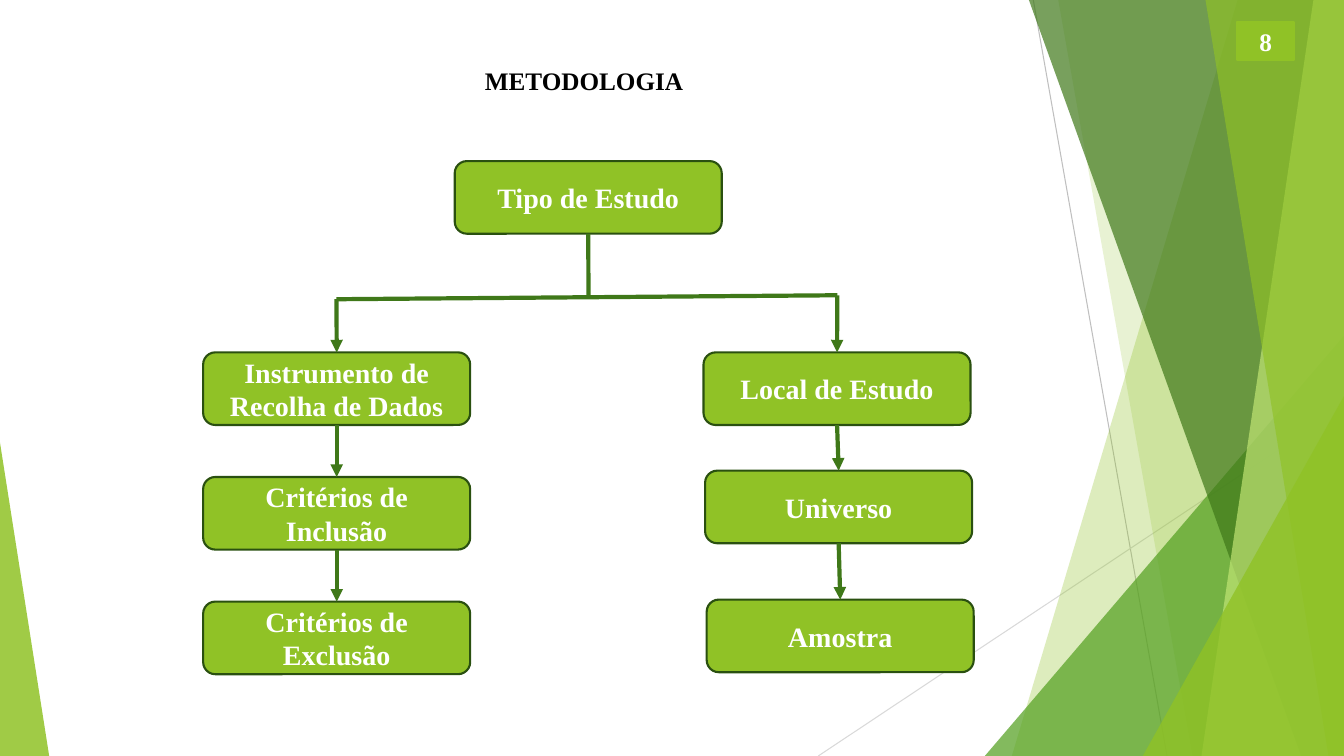
from lxml.etree import SubElement
from pptx import Presentation
from pptx.dml.color import RGBColor
from pptx.enum.shapes import MSO_CONNECTOR, MSO_SHAPE
from pptx.enum.text import MSO_ANCHOR, MSO_AUTO_SIZE, PP_ALIGN
from pptx.oxml.ns import qn
from pptx.util import Cm, Pt

COLORS = {
    "lime": "90C226", "pale": "C0E474", "green": "54A021", "dark": "3F7819",
    "edge": "2A5010", "gray": "BFBFBF", "silver": "D9D9D9",
    "white": "FFFFFF", "black": "000000",
}
FONT = "Times New Roman"
W, H = 33.87, 19.05
BOX_W, BOX_H = 6.73, 1.83


def add_line(x1, y1, x2, y2, color, width, arrow=False):
    c = s.shapes.add_connector(MSO_CONNECTOR.STRAIGHT, Cm(x1), Cm(y1), Cm(x2), Cm(y2))
    c.line.color.rgb = RGBColor.from_string(COLORS[color])
    c.line.width = Pt(width)
    if arrow:
        SubElement(c.line._get_or_add_ln(), qn("a:tailEnd"), type="triangle")
    SubElement(c._element.spPr, qn("a:effectLst"))
    return c


def add_text(sp, text, size, color):
    tf = sp.text_frame
    tf.vertical_anchor = MSO_ANCHOR.MIDDLE
    p = tf.paragraphs[0]
    p.alignment = PP_ALIGN.CENTER
    r = p.add_run()
    r.text = text
    r.font.name = FONT
    r.font.size = Pt(size)
    r.font.bold = True
    r.font.color.rgb = RGBColor.from_string(COLORS[color])


prs = Presentation()
prs.slide_width, prs.slide_height = Cm(W), Cm(H)
s = prs.slides.add_slide(prs.slide_layouts[6])

add_line(26.04, 0, 29.41, H, "gray", 0.75)
add_line(W, 10.24, 20.62, H, "silver", 0.75)

facets = [
    ("band", 31.19, 25.5, "lime", 30),
    ("band", 26.67, 30.05, "lime", 20),
    ("triangle", 24.82, 8.46, 9.05, 1, "green", 72),
    ("band", 25.93, 32.79, "dark", 70),
    ("band", 33.1, 30.28, "pale", 70),
    ("band", 30.38, 33.48, "lime", 65),
    ("triangle", 28.8, 9.98, 5.07, 1, "lime", 80),
    ("triangle", 0, 11.15, 1.24, 0, "lime", 85),
]
for kind, *geometry, color, opacity in facets:
    if kind == "band":
        top_x, bottom_x = geometry
        fb = s.shapes.build_freeform(Cm(top_x), 0)
        fb.add_line_segments([(Cm(W), 0), (Cm(W), Cm(H)), (Cm(bottom_x), Cm(H))])
        sp = fb.convert_to_shape()
    else:
        x, y, width, apex = geometry
        sp = s.shapes.add_shape(MSO_SHAPE.ISOSCELES_TRIANGLE, Cm(x), Cm(y), Cm(width), Cm(H - y))
        sp.adjustments[0] = apex
    sp.shadow.inherit = False
    sp.line.fill.background()
    sp.fill.solid()
    sp.fill.fore_color.rgb = RGBColor.from_string(COLORS[color])
    clr = sp._element.spPr.find(".//" + qn("a:srgbClr"))
    SubElement(clr, qn("a:alpha"), val=str(opacity * 1000))

title = s.shapes.add_textbox(Cm(11.94), Cm(1.52), Cm(5.56), Cm(1.02))
title.text_frame.word_wrap = False
title.text_frame.auto_size = MSO_AUTO_SIZE.SHAPE_TO_FIT_TEXT
add_text(title, "METODOLOGIA", 18, "black")

number = s.shapes.add_shape(MSO_SHAPE.RECTANGLE, Cm(31.17), Cm(0.56), Cm(1.45), Cm(0.95))
add_text(number, "8", 18, "white")

boxes = {}
for text, x, y in [
    ("Tipo de Estudo", 11.46, 4.06),
    ("Local de Estudo", 17.73, 8.88),
    ("Universo", 17.77, 11.86),
    ("Amostra", 17.81, 15.11),
    ("Instrumento de Recolha de Dados", 5.12, 8.88),
    ("Critérios de Inclusão", 5.12, 12.02),
    ("Critérios de Exclusão", 5.12, 15.16),
]:
    sp = s.shapes.add_shape(MSO_SHAPE.ROUNDED_RECTANGLE, Cm(x), Cm(y), Cm(BOX_W), Cm(BOX_H))
    add_text(sp, text, 20, "white")
    boxes[text] = sp

for sp in [number, *boxes.values()]:
    sp.shadow.inherit = False
    sp.fill.solid()
    sp.fill.fore_color.rgb = RGBColor.from_string(COLORS["lime"])
    sp.line.color.rgb = RGBColor.from_string(COLORS["lime" if sp is number else "edge"])
    sp.line.width = Pt(1.5)

left_x, stem_x, right_x = 8.48, 14.83, 21.1
left_y, stem_y, right_y = 7.54, 7.48, 7.44
add_line(left_x, left_y, right_x, right_y, "dark", 3)
stem = add_line(stem_x, 5.89, stem_x, stem_y, "dark", 3)
stem.begin_connect(boxes["Tipo de Estudo"], 2)

for x, y, *chain in [
    (right_x, right_y, "Local de Estudo", "Universo", "Amostra"),
    (left_x, left_y, "Instrumento de Recolha de Dados", "Critérios de Inclusão", "Critérios de Exclusão"),
]:
    drop = add_line(x, y, x, 8.88, "dark", 3, True)
    drop.end_connect(boxes[chain[0]], 0)
    for upper, lower in zip(chain, chain[1:]):
        c = add_line(x, y, x, y, "dark", 3, True)
        c.begin_connect(boxes[upper], 2)
        c.end_connect(boxes[lower], 0)

prs.save("out.pptx")
